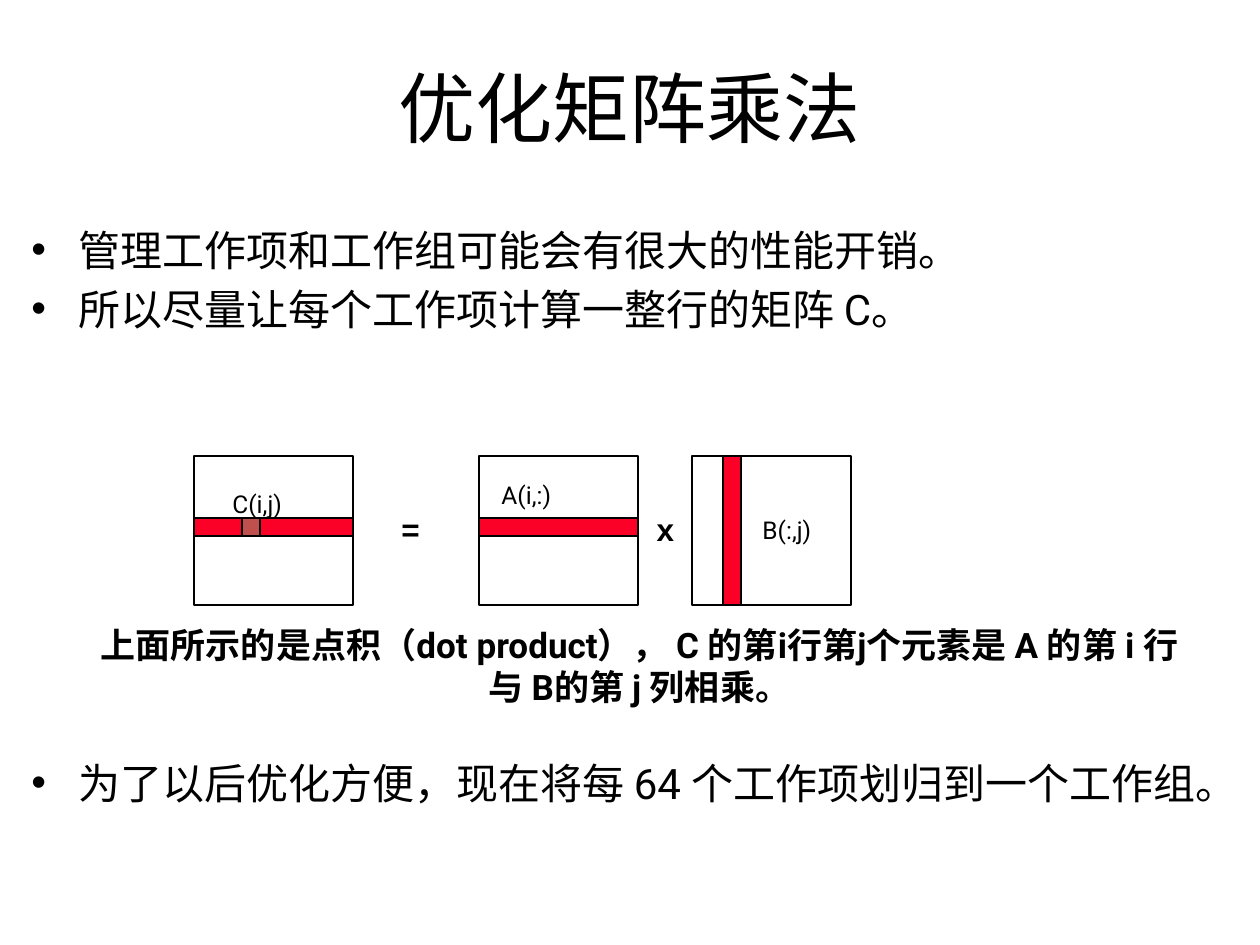
from dataclasses import dataclass

import lxml.etree
import pptx
import pptx.dml.color
import pptx.enum.shapes
import pptx.enum.text
import pptx.oxml.ns
import pptx.util

EMU_PER_PX = 914400 / 126
BLACK = pptx.dml.color.RGBColor(0x00, 0x00, 0x00)
RED = pptx.dml.color.RGBColor(0xFC, 0x01, 0x28)
BRICK = pptx.dml.color.RGBColor(0xC0, 0x50, 0x4D)
CENTER = pptx.enum.text.PP_ALIGN.CENTER

MATRIX_TOP, MATRIX_WIDTH, MATRIX_HEIGHT = 456, 159, 149
ROW_TOP, STRIP = 518, 18
C_LEFT, A_LEFT, B_LEFT = 194, 479, 692


@dataclass(frozen=True)
class Box:
    left: int
    top: int
    width: int
    height: int

    def emu(self) -> list[int]:
        return [px(n) for n in (self.left, self.top, self.width, self.height)]


@dataclass(frozen=True)
class Matrix:
    left: int
    strip: Box
    label: str
    label_left: int
    label_top: int


MATRICES = [
    Matrix(A_LEFT, Box(A_LEFT, ROW_TOP, MATRIX_WIDTH, STRIP), "A(i,:)", 489, 474),
    Matrix(B_LEFT, Box(723, MATRIX_TOP, STRIP, MATRIX_HEIGHT), "B(:,j)", 750, 509),
    Matrix(C_LEFT, Box(C_LEFT, ROW_TOP, MATRIX_WIDTH, STRIP), "C(i,j)", 220, 483),
]
OPERATORS = [("=", Box(389, 504, 74, 50)), ("x", Box(646, 504, 23, 50))]


def px(length: int) -> int:
    return round(length * EMU_PER_PX)


def format_runs(paragraph, size: int, font: str = "Roboto", bold: bool = False) -> None:
    for run in paragraph.runs:
        run.font.size = pptx.util.Pt(size)
        run.font.name = font
        run.font.bold = bold
        run.font.color.rgb = BLACK


def add_text(slide, box: Box, text: str, size: int, font: str = "Roboto",
             bold: bool = False, wrap: bool = True):
    frame = slide.shapes.add_textbox(*box.emu()).text_frame
    frame.word_wrap = wrap
    frame.text = text
    for paragraph in frame.paragraphs:
        format_runs(paragraph, size, font, bold)
    return frame


def add_bullets(slide, box: Box, lines: list[str]) -> None:
    frame = add_text(slide, box, "\n".join(lines), 24)
    for index, paragraph in enumerate(frame.paragraphs):
        properties = paragraph._p.get_or_add_pPr()
        properties.set("marL", str(px(48)))
        properties.set("indent", str(-px(47)))
        for tag, attribute, value in (("a:buFont", "typeface", "Arial"),
                                      ("a:buChar", "char", "•")):
            bullet = lxml.etree.SubElement(properties, pptx.oxml.ns.qn(tag))
            bullet.set(attribute, value)
        if index:
            paragraph.space_before = pptx.util.Pt(4.8)


def add_rectangle(slide, box: Box, color=None) -> None:
    """Draw a black-edged rectangle, hollow when no color is given."""
    rectangle = slide.shapes.add_shape(
        pptx.enum.shapes.MSO_SHAPE.RECTANGLE, *box.emu())
    rectangle.shadow.inherit = False
    rectangle.line.color.rgb = BLACK
    rectangle.line.width = pptx.util.Pt(1)
    if color is None:
        rectangle.fill.background()
    else:
        rectangle.fill.solid()
        rectangle.fill.fore_color.rgb = color


def add_matrix(slide, matrix: Matrix) -> None:
    add_rectangle(slide, Box(matrix.left, MATRIX_TOP, MATRIX_WIDTH, MATRIX_HEIGHT))
    add_text(slide, Box(matrix.label_left, matrix.label_top, 93, 42), matrix.label, 14)
    add_rectangle(slide, matrix.strip, RED)


def add_title(slide, text: str) -> None:
    title = slide.shapes.title
    title.left, title.top, title.width, title.height = Box(15, 28, 1230, 158).emu()
    title.text_frame.text = text
    title.text_frame.vertical_anchor = pptx.enum.text.MSO_ANCHOR.MIDDLE
    heading = title.text_frame.paragraphs[0]
    heading.alignment = CENTER
    format_runs(heading, 44)


def main() -> None:
    deck = pptx.Presentation()
    deck.slide_width, deck.slide_height = px(1260), px(945)
    slide = deck.slides.add_slide(deck.slide_layouts.get_by_name("Title Only"))

    add_title(slide, "优化矩阵乘法")
    add_bullets(slide, Box(18, 218, 1211, 297), [
        "管理工作项和工作组可能会有很大的性能开销。",
        "所以尽量让每个工作项计算一整行的矩阵 C。",
    ])

    for matrix in MATRICES:
        add_matrix(slide, matrix)
    add_rectangle(slide, Box(242, ROW_TOP, STRIP, STRIP), BRICK)
    for symbol, box in OPERATORS:
        add_text(slide, box, symbol, 18, "Arial", bold=True, wrap=False)

    caption = add_text(
        slide, Box(84, 619, 1111, 96),
        "上面所示的是点积（dot product）， C 的第i行第j个元素是 A 的第 i 行与 B的第 j 列相乘。",
        20, bold=True).paragraphs[0]
    caption.alignment = CENTER
    caption.line_spacing = 0.99

    add_bullets(slide, Box(18, 751, 1211, 175),
                ["为了以后优化方便，现在将每 64 个工作项划归到一个工作组。"])
    deck.save("out.pptx")


if __name__ == "__main__":
    main()
